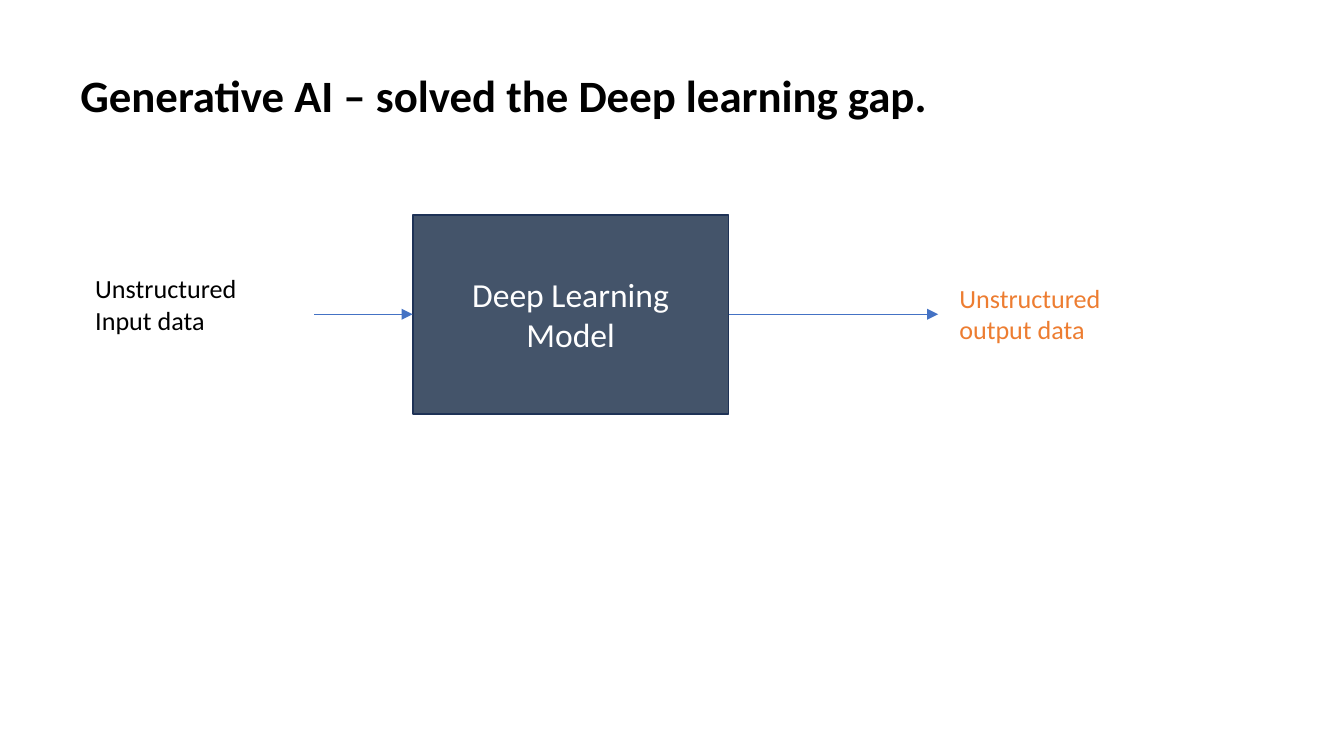
from pptx import Presentation
from pptx.dml.color import RGBColor
from pptx.enum import shapes, text
from pptx.oxml import xmlchemy
from pptx.util import Cm, Pt

BLACK = RGBColor(0x00, 0x00, 0x00)
WHITE = RGBColor(0xFF, 0xFF, 0xFF)
SLATE = RGBColor(0x44, 0x54, 0x6A)
NAVY = RGBColor(0x1E, 0x32, 0x56)
BLUE = RGBColor(0x44, 0x72, 0xC4)
ORANGE = RGBColor(0xED, 0x7D, 0x31)

TITLE = "Generative AI – solved the Deep learning gap."
MODEL = "Deep Learning Model"
LABELS = [
    ("Unstructured\vInput data", (1.55, 5.03, 4.39, 1.45), BLACK),
    ("Unstructured output data", (17.88, 5.21, 4.42, 1.45), ORANGE),
]
MODEL_LEFT, MODEL_TOP, MODEL_WIDTH, MODEL_HEIGHT = 7.8, 4.06, 5.97, 3.76
INPUT_START, OUTPUT_END = 5.94, 17.73


def write(holder, content, size, color, bold=False,
          align=text.PP_ALIGN.LEFT, anchor=text.MSO_ANCHOR.TOP):
    frame = holder.text_frame
    frame.word_wrap = True
    frame.vertical_anchor = anchor
    paragraph = frame.paragraphs[0]
    paragraph.text = content
    paragraph.alignment = align
    for run in paragraph.runs:
        run.font.name = "Calibri"
        run.font.size = Pt(size)
        run.font.bold = bold
        run.font.color.rgb = color


def add_arrow(slide, start, end, y):
    arrow = slide.shapes.add_connector(
        shapes.MSO_CONNECTOR.STRAIGHT, Cm(start), Cm(y), Cm(end), Cm(y))
    arrow.line.color.rgb = BLUE
    arrow.line.width = Pt(0.5)
    line = arrow.line._get_or_add_ln()
    line.append(xmlchemy.OxmlElement("a:tailEnd"))
    line[-1].set("type", "triangle")
    arrow._element.spPr.append(xmlchemy.OxmlElement("a:effectLst"))


def main():
    deck = Presentation()
    deck.slide_width, deck.slide_height = Cm(25.4), Cm(14.29)
    slide = deck.slides.add_slide(deck.slide_layouts[6])

    title = slide.shapes.add_textbox(Cm(1.27), Cm(0.64), Cm(22.86), Cm(2.29))
    write(title, TITLE, 24, BLACK, bold=True, anchor=text.MSO_ANCHOR.MIDDLE)

    model = slide.shapes.add_shape(
        shapes.MSO_SHAPE.RECTANGLE, Cm(MODEL_LEFT), Cm(MODEL_TOP),
        Cm(MODEL_WIDTH), Cm(MODEL_HEIGHT))
    model.shadow.inherit = False
    model.fill.solid()
    model.fill.fore_color.rgb = SLATE
    model.line.color.rgb = NAVY
    model.line.width = Pt(1)
    write(model, MODEL, 18, WHITE, align=text.PP_ALIGN.CENTER,
          anchor=text.MSO_ANCHOR.MIDDLE)

    middle = MODEL_TOP + MODEL_HEIGHT / 2
    add_arrow(slide, INPUT_START, MODEL_LEFT, middle)
    add_arrow(slide, MODEL_LEFT + MODEL_WIDTH, OUTPUT_END, middle)

    for content, place, color in LABELS:
        label = slide.shapes.add_textbox(*map(Cm, place))
        write(label, content, 14, color)
        label.text_frame.auto_size = text.MSO_AUTO_SIZE.SHAPE_TO_FIT_TEXT

    deck.save("out.pptx")


if __name__ == "__main__":
    main()
